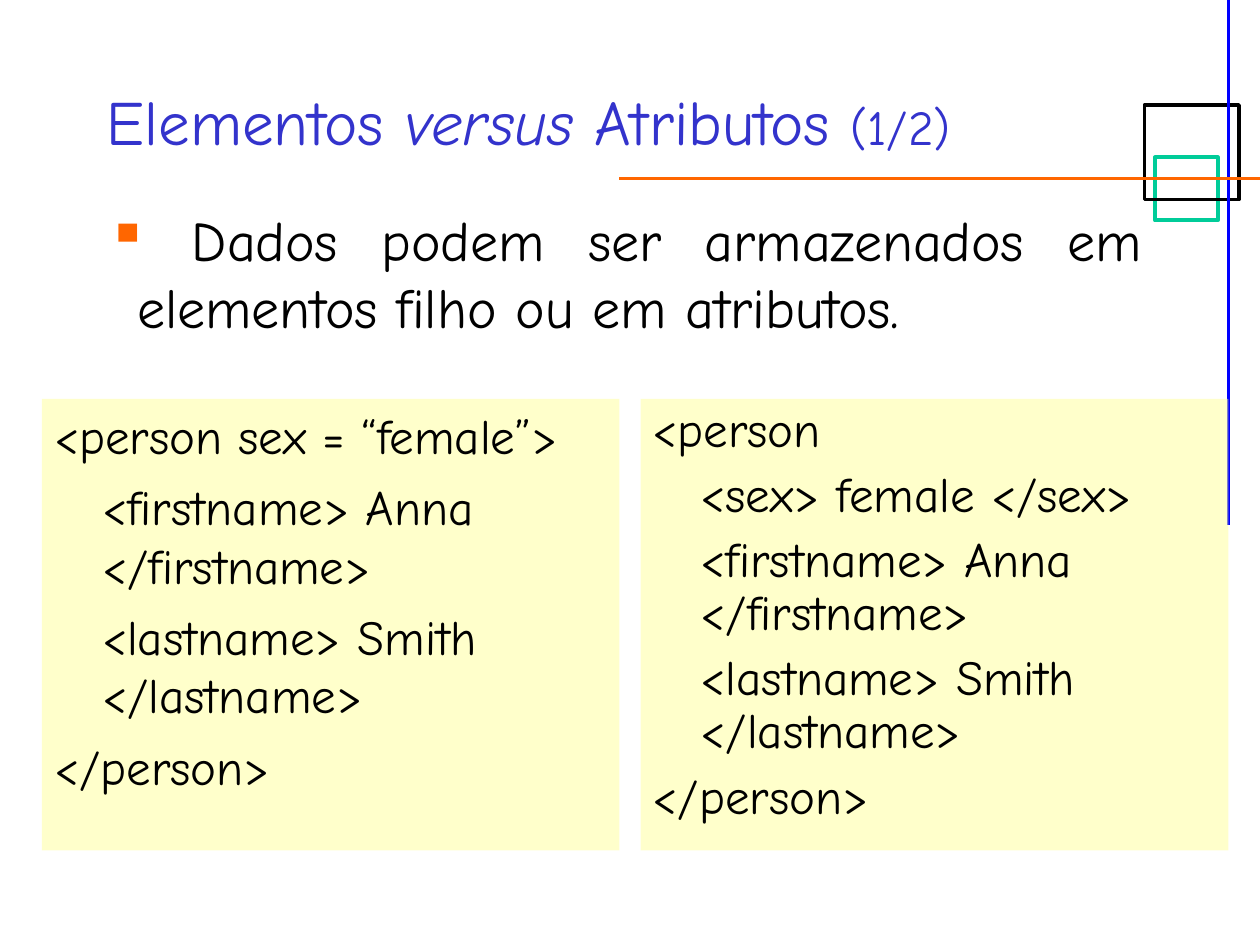
from dataclasses import dataclass

from lxml import etree
from pptx import Presentation
from pptx.dml.color import RGBColor
from pptx.enum.shapes import MSO_CONNECTOR, MSO_SHAPE
from pptx.enum.text import MSO_ANCHOR, PP_ALIGN
from pptx.oxml.ns import qn
from pptx.util import Inches, Pt

RECT = MSO_SHAPE.RECTANGLE
STRAIGHT = MSO_CONNECTOR.STRAIGHT
TOP, MIDDLE = MSO_ANCHOR.TOP, MSO_ANCHOR.MIDDLE
JUSTIFY = PP_ALIGN.JUSTIFY

FONT = "Comic Neue"
UNIT = Inches(10) // 120
BLACK, ORANGE, BLUE, GREEN = "000000", "FF6600", "0000FF", "00CC99"
TITLE_BLUE, PANEL_YELLOW = "3333CC", "FFFF99"


@dataclass
class Box:
    col: int
    row: int
    cols: int
    rows: int

    def emu(self) -> list[int]:
        return [n * UNIT for n in (self.col, self.row, self.cols, self.rows)]


@dataclass
class Rule:
    start: tuple[int, int]
    end: tuple[int, int]
    color: str


@dataclass
class Panel:
    box: Box
    spacing: float
    children: list[str]
    opening: str


FRAMES = [(Box(110, 15, 6, 6), GREEN), (Box(109, 10, 9, 9), BLACK)]
RULES = [Rule((117, 0), (117, 50), BLUE), Rule((59, 17), (120, 17), ORANGE)]
NAMES = ["<firstname> Anna </firstname>", "<lastname> Smith </lastname>"]
PANELS = [
    Panel(Box(4, 38, 55, 43), 1.0, NAMES, "<person sex = “female”>"),
    Panel(Box(61, 38, 56, 43), 0.9, ["<sex> female </sex>", *NAMES], "<person"),
]
TITLE = [
    ("Elementos ", {"size": Pt(36)}),
    ("versus", {"size": Pt(36), "italic": True}),
    (" Atributos ", {"size": Pt(36)}),
    ("(1/2)", {"size": Pt(28)}),
]


def rgb(color: str) -> RGBColor:
    return RGBColor.from_string(color)


def apply(target, values: dict) -> None:
    for name, value in values.items():
        setattr(target, name, value)


def add_run(p, text: str, color: str, values: dict) -> None:
    r = p.add_run()
    r.text = text
    apply(r.font, {"name": FONT, **values})
    r.font.color.rgb = rgb(color)


def indent(p, margin: float, first: float) -> None:
    pPr = p._p.get_or_add_pPr()
    pPr.set("marL", str(Inches(margin)))
    pPr.set("indent", str(Inches(first)))


def add_bullet(p, char: str, color: str) -> None:
    pPr = p._p.get_or_add_pPr()
    clr = etree.SubElement(pPr, qn("a:buClr"))
    etree.SubElement(clr, qn("a:srgbClr"), val=color)
    etree.SubElement(pPr, qn("a:buChar"), char=char)


def add_text_box(s, box: Box, anchor):
    tf = s.shapes.add_textbox(*box.emu()).text_frame
    apply(tf, {"word_wrap": True, "vertical_anchor": anchor})
    return tf.paragraphs[0]


def add_frame(s, box: Box, color: str) -> None:
    sp = s.shapes.add_shape(RECT, *box.emu())
    sp.shadow.inherit = False
    sp.fill.background()
    sp.line.color.rgb = rgb(color)
    sp.line.width = Pt(2.25)


def add_rule(s, rule: Rule) -> None:
    ends = [n * UNIT for n in rule.start + rule.end]
    line = s.shapes.add_connector(STRAIGHT, *ends)
    line.line.color.rgb = rgb(rule.color)
    line.line.width = Pt(2.25)
    etree.SubElement(line._element.spPr, qn("a:effectLst"))


def add_panel(s, panel: Panel) -> None:
    sp = s.shapes.add_shape(RECT, *panel.box.emu())
    sp.shadow.inherit = False
    sp.line.fill.background()
    sp.fill.solid()
    sp.fill.fore_color.rgb = rgb(PANEL_YELLOW)
    clr = sp._element.spPr.find(qn("a:solidFill")).find(qn("a:srgbClr"))
    etree.SubElement(clr, qn("a:alpha"), val="50000")
    tf = sp.text_frame
    apply(tf, {"word_wrap": True, "vertical_anchor": TOP})
    lines = [panel.opening, *panel.children, "</person>"]
    for i, text in enumerate(lines):
        p = tf.add_paragraph() if i else tf.paragraphs[0]
        apply(p, {"alignment": PP_ALIGN.LEFT, "space_before": Pt(7),
                  "line_spacing": panel.spacing})
        indent(p, 0.38, 0 if text in panel.children else -0.38)
        add_run(p, text, BLACK, {"size": Pt(28)})


def main() -> None:
    prs = Presentation()
    apply(prs, {"slide_width": Inches(10), "slide_height": Inches(7.5)})
    s = prs.slides.add_slide(prs.slide_layouts[6])
    for box, color in FRAMES:
        add_frame(s, box, color)
    for rule in RULES:
        add_rule(s, rule)

    p = add_text_box(s, Box(9, 4, 102, 15), MIDDLE)
    for text, values in TITLE:
        add_run(p, text, TITLE_BLUE, values)

    for panel in PANELS:
        add_panel(s, panel)

    p = add_text_box(s, Box(9, 19, 101, 14), TOP)
    apply(p, {"alignment": JUSTIFY, "space_before": Pt(20)})
    indent(p, 0.24, -0.24)
    add_bullet(p, "▪", ORANGE)
    add_run(p, " Dados podem ser armazenados em elementos filho ou em atributos.",
            BLACK, {"size": Pt(32)})
    prs.save("out.pptx")


if __name__ == "__main__":
    main()
